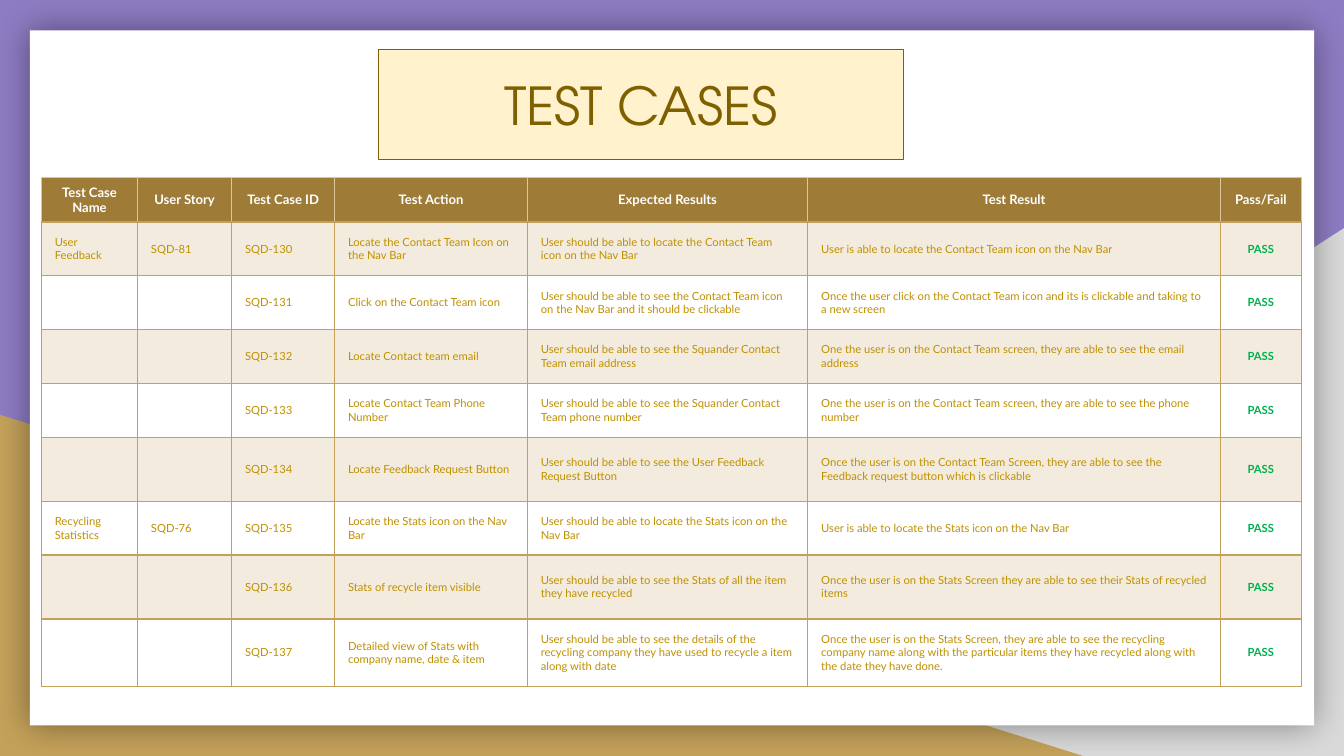
from dataclasses import dataclass

from lxml.etree import SubElement
from pptx import Presentation
from pptx.dml.color import RGBColor
from pptx.enum.shapes import MSO_SHAPE as SHAPE
from pptx.enum.text import MSO_ANCHOR as ANCHOR, MSO_AUTO_SIZE as AUTO, PP_ALIGN as ALIGN
from pptx.oxml import parse_xml
from pptx.oxml.ns import nsdecls, qn
from pptx.util import Pt

PURPLE = RGBColor(0x8E, 0x7C, 0xC3)
GREY = RGBColor(0xD9, 0xD9, 0xD9)
GOLD = RGBColor(0xC4, 0xA1, 0x5A)
PALE_GOLD = RGBColor(0xDB, 0xC6, 0x9B)
BROWN = RGBColor(0x9E, 0x7C, 0x38)
WHITE = RGBColor(0xFF, 0xFF, 0xFF)
CREAM = RGBColor(0xFF, 0xF2, 0xCC)
TITLE_LINE = RGBColor(0x7D, 0x5F, 0x02)
TITLE_TEXT = RGBColor(0x7F, 0x60, 0x00)
BODY_TEXT = RGBColor(0xBF, 0x90, 0x00)
GREEN = RGBColor(0x00, 0xB0, 0x50)

BODY_FONT = "Lato"
TITLE_FONT = "TeX Gyre Adventor"
INSET = 7.2


@dataclass
class Backdrop:
    kind: SHAPE
    left: float
    top: float
    width: float
    height: float
    color: RGBColor
    flipped: bool = False
    glow: bool = False


@dataclass
class CellStyle:
    size: float
    color: RGBColor
    bold: bool = False
    align: ALIGN = ALIGN.LEFT


@dataclass
class TestCase:
    number: int
    action: str
    expected: str
    result: str
    height: float = 28.8
    name: str = ""
    story: str = ""

    def texts(self) -> list[str]:
        return [self.name, self.story, f"SQD-{self.number}", self.action,
                self.expected, self.result, "PASS"]


HEADER = CellStyle(7, WHITE, True, ALIGN.CENTER)
BODY = CellStyle(6, BODY_TEXT)
PASS = CellStyle(6, GREEN, True, ALIGN.CENTER)

BACKDROPS = [
    Backdrop(SHAPE.RIGHT_TRIANGLE, 282.2, 122.2, 437.8, 282.8, GREY, flipped=True),
    Backdrop(SHAPE.RIGHT_TRIANGLE, 0, 222.2, 580.3, 182.8, GOLD),
    Backdrop(SHAPE.RECTANGLE, 16, 16.3, 688, 372.3, WHITE, glow=True),
]

HEADINGS = ["Test Case Name", "User Story", "Test Case ID", "Test Action",
            "Expected Results", "Test Result", "Pass/Fail"]
COL_WIDTHS = [51.5, 50.4, 55.2, 103.3, 150.2, 221, 43.4]
HEADER_HEIGHT = 23.6

CASES = [
    TestCase(130, "Locate the Contact Team Icon on the Nav Bar",
             "User should be able to locate the Contact Team icon on the Nav Bar",
             "User is able to locate the Contact Team icon on the Nav Bar",
             name="User Feedback", story="SQD-81"),
    TestCase(131, "Click on the Contact Team icon",
             "User should be able to see the Contact Team icon on the Nav Bar and it should be clickable",
             "Once the user click on the Contact Team icon and its is clickable and taking to a new screen"),
    TestCase(132, "Locate Contact team email",
             "User should be able to see the Squander Contact Team email address",
             "One the user is on the Contact Team screen, they are able to see the email address"),
    TestCase(133, "Locate Contact Team Phone Number",
             "User should be able to see the Squander Contact Team phone number",
             "One the user is on the Contact Team screen, they are able to see the phone number"),
    TestCase(134, "Locate Feedback Request Button",
             "User should be able to see the User Feedback Request Button",
             "Once the user is on the Contact Team Screen, they are able to see the Feedback request "
             "button which is clickable", height=34.3),
    TestCase(135, "Locate the Stats icon on the Nav Bar",
             "User should be able to locate the Stats icon on the Nav Bar",
             "User is able to locate the Stats icon on the Nav Bar",
             name="Recycling Statistics", story="SQD-76"),
    TestCase(136, "Stats of recycle item visible",
             "User should be able to see the Stats of all the item they have recycled",
             "Once the user is on the Stats Screen they are able to see their Stats of recycled items",
             height=34.3),
    TestCase(137, "Detailed view of Stats with company name, date & item",
             "User should be able to see the details of the recycling company they have used to "
             "recycle a item along with date",
             "Once the user is on the Stats Screen, they are able to see the recycling company name "
             "along with the particular items they have recycled along with the date they have done.",
             height=36),
]


def add_backdrop(s, item: Backdrop) -> None:
    sp = s.shapes.add_shape(item.kind, Pt(item.left), Pt(item.top), Pt(item.width), Pt(item.height))
    sp.fill.solid()
    sp.fill.fore_color.rgb = item.color
    sp.line.fill.background()
    sp.shadow.inherit = False
    spPr = sp._element.spPr
    if item.flipped:
        spPr.find(qn("a:xfrm")).set("flipH", "1")
    if item.glow:
        spPr.find(qn("a:effectLst")).append(parse_xml(
            f'<a:outerShdw {nsdecls("a")} blurRad="{Pt(18)}" dist="0" dir="0" algn="ctr" rotWithShape="0">'
            '<a:srgbClr val="000000"><a:alpha val="40000"/></a:srgbClr></a:outerShdw>'))


def add_title(s, text: str) -> None:
    sp = s.shapes.title
    sp.left, sp.top, sp.width, sp.height = Pt(202.8), Pt(26.5), Pt(281.3), Pt(59)
    s.shapes._spTree.append(sp._element)
    sp.fill.solid()
    sp.fill.fore_color.rgb = CREAM
    sp.line.color.rgb = TITLE_LINE
    sp.line.width = Pt(0.75)
    tf = sp.text_frame
    tf.text = text
    tf.auto_size = AUTO.NONE
    tf.word_wrap = True
    tf.vertical_anchor = ANCHOR.MIDDLE
    tf.margin_left = tf.margin_right = tf.margin_top = tf.margin_bottom = Pt(INSET)
    p = tf.paragraphs[0]
    p.alignment = ALIGN.CENTER
    r = p.runs[0]
    r.font.name, r.font.size, r.font.color.rgb = TITLE_FONT, Pt(28), TITLE_TEXT


def write_cell(cell, text: str, style: CellStyle, inset: float) -> None:
    cell.vertical_anchor = ANCHOR.MIDDLE
    cell.margin_left = cell.margin_right = Pt(INSET)
    cell.margin_top = cell.margin_bottom = Pt(inset)
    p = cell.text_frame.paragraphs[0]
    p.text = text
    p.alignment = style.align
    for r in p.runs:
        r.font.name, r.font.size = BODY_FONT, Pt(style.size)
        r.font.bold, r.font.color.rgb = style.bold, style.color
    if not text:
        SubElement(p._p, qn("a:endParaRPr"), sz=str(int(style.size * 100)))


def paint_cell(cell, fill: RGBColor | None, edge: RGBColor, opacity: int = 100) -> None:
    tcPr = cell._tc.get_or_add_tcPr()
    if fill is None:
        cell.fill.background()
    else:
        cell.fill.solid()
        cell.fill.fore_color.rgb = fill
        SubElement(tcPr.find(f".//{qn('a:srgbClr')}"), qn("a:alpha"), val=str(opacity * 1000))
    for i, (side, color) in enumerate(zip("LRTB", (edge, edge, edge, GOLD))):
        tcPr.insert(i, parse_xml(
            f'<a:ln{side} {nsdecls("a")} w="{Pt(0.75)}"><a:solidFill>'
            f'<a:srgbClr val="{color}"/></a:solidFill></a:ln{side}>'))


def add_case_table(s, cases: list[TestCase]) -> None:
    heights = [HEADER_HEIGHT] + [case.height for case in cases]
    table = s.shapes.add_table(len(heights), len(HEADINGS), Pt(22.2), Pt(95.1),
                               Pt(sum(COL_WIDTHS)), Pt(sum(heights))).table
    table.first_row = table.horz_banding = False
    for column, width in zip(table.columns, COL_WIDTHS):
        column.width = Pt(width)
    for row, height in zip(table.rows, heights):
        row.height = Pt(height)
    for j, text in enumerate(HEADINGS):
        cell = table.cell(0, j)
        write_cell(cell, text, HEADER, INSET if j else INSET / 2)
        paint_cell(cell, BROWN, PALE_GOLD)
    for i, case in enumerate(cases, 1):
        for j, text in enumerate(case.texts()):
            cell = table.cell(i, j)
            write_cell(cell, text, PASS if text == "PASS" else BODY, INSET)
            paint_cell(cell, GOLD if i % 2 else None, GOLD, 20)


def main() -> None:
    prs = Presentation()
    prs.slide_width, prs.slide_height = Pt(720), Pt(405)
    s = prs.slides.add_slide(prs.slide_layouts[5])
    s.background.fill.solid()
    s.background.fill.fore_color.rgb = PURPLE
    for item in BACKDROPS:
        add_backdrop(s, item)
    add_case_table(s, CASES)
    add_title(s, "TEST CASES")
    prs.save("out.pptx")


if __name__ == "__main__":
    main()
